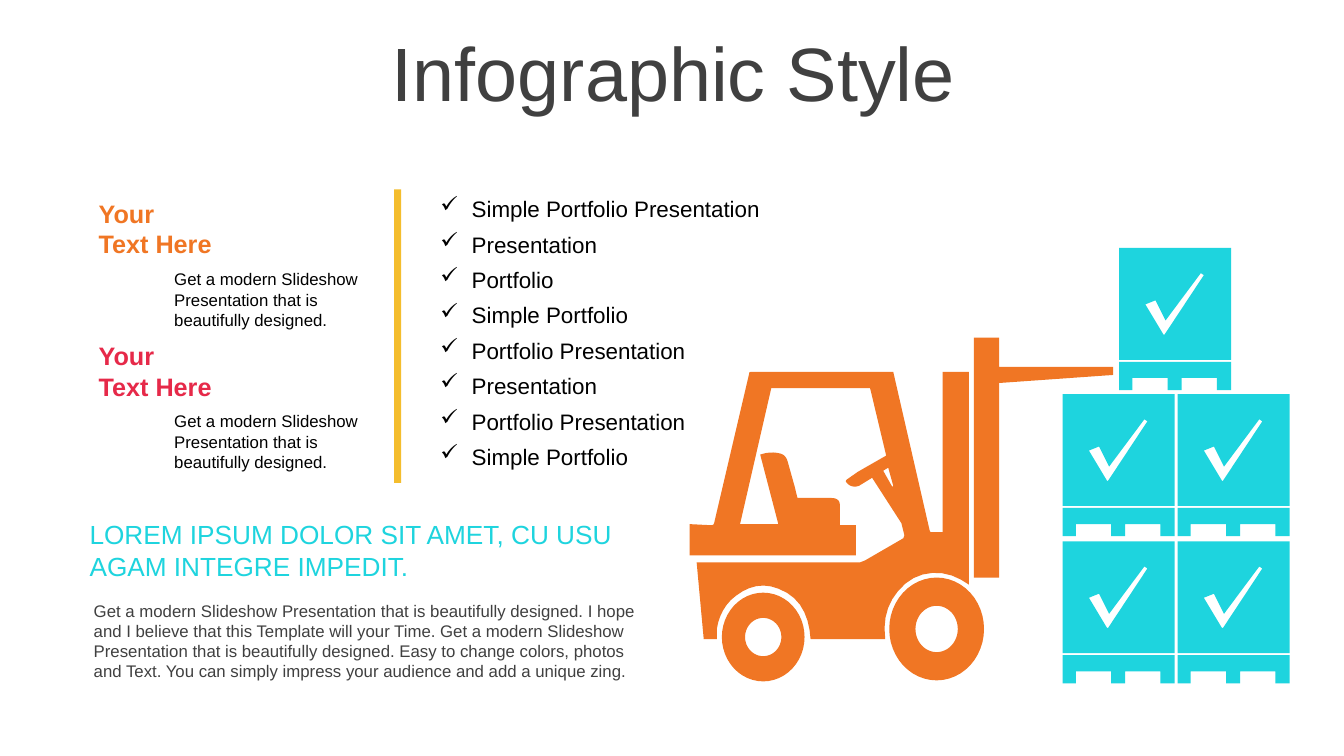
from dataclasses import dataclass, field
from math import cos, pi, sin

from lxml import etree
from pptx import Presentation
from pptx.dml.color import RGBColor
from pptx.enum.shapes import MSO_SHAPE
from pptx.enum.text import MSO_ANCHOR, MSO_AUTO_SIZE, PP_ALIGN
from pptx.oxml.ns import qn
from pptx.util import Inches, Pt

RECTANGLE = MSO_SHAPE.RECTANGLE
TOP, MIDDLE = MSO_ANCHOR.TOP, MSO_ANCHOR.MIDDLE
FIXED, GROW = MSO_AUTO_SIZE.NONE, MSO_AUTO_SIZE.SHAPE_TO_FIT_TEXT
LEFT, CENTER = PP_ALIGN.LEFT, PP_ALIGN.CENTER

COLORS = {"orange": "F07624", "cyan": "1ED4DE", "red": "E62949",
          "yellow": "F4BD2D", "gray": "404040", "black": "000000"}
FONT = "Arial"
Point = tuple[float, float]


@dataclass
class TextBlock:
    lines: list[str]
    at: tuple[float, float, float, float]
    size: float
    color: str
    bold: bool = False
    bullet: str = ""
    paragraph: dict = field(default_factory=dict)
    frame: dict = field(default_factory=dict)


@dataclass
class Section:
    top: float
    color: str


def rgb(name: str) -> RGBColor:
    return RGBColor.from_string(COLORS[name])


def apply(target, values: dict) -> None:
    for name, value in values.items():
        setattr(target, name, value)


def paint(shape, color: str) -> None:
    shape.shadow.inherit = False
    shape.fill.solid()
    shape.fill.fore_color.rgb = rgb(color)
    shape.line.fill.background()


def add_text(page, block: TextBlock):
    box = page.shapes.add_textbox(*map(Inches, block.at))
    frame = box.text_frame
    apply(frame, {"word_wrap": True, "auto_size": GROW, "vertical_anchor": TOP} | block.frame)
    for index, line in enumerate(block.lines):
        para = frame.paragraphs[0] if index == 0 else frame.add_paragraph()
        if block.bullet:
            properties = para._p.get_or_add_pPr()
            properties.set("marL", str(Inches(0.31)))
            properties.set("indent", str(Inches(-0.31)))
            etree.SubElement(properties, qn("a:buChar")).set("char", block.bullet)
        apply(para, {"alignment": LEFT} | block.paragraph)
        span = para.add_run()
        span.text = line
        apply(span.font, {"name": FONT, "size": Pt(block.size), "bold": block.bold})
        span.font.color.rgb = rgb(block.color)
    return box


def flatten(outline: list[tuple], steps: int = 6) -> list[Point]:
    """Two numbers are a corner; six are the controls and end of a curve."""
    points: list[Point] = []
    for item in outline:
        if len(item) == 2:
            points.append(item)
            continue
        knots = [points[-1], item[:2], item[2:4], item[4:]]
        for step in range(1, steps + 1):
            t = step / steps
            weights = ((1 - t) ** 3, 3 * t * (1 - t) ** 2, 3 * t * t * (1 - t), t ** 3)
            points.append(tuple(sum(w * knot[axis] for w, knot in zip(weights, knots))
                                for axis in (0, 1)))
    return points


def ellipse(x: float, y: float, radius_x: float, radius_y: float) -> list[Point]:
    angles = [2 * pi * step / 48 for step in range(48)]
    return [(x + radius_x * cos(angle), y + radius_y * sin(angle)) for angle in angles]


def add_outlines(page, outlines: list[list[tuple]], color: str, left: float = 0, top: float = 0):
    builder = None
    for outline in outlines:
        start, *rest = [(Inches(left + x), Inches(top + y)) for x, y in flatten(outline)]
        if builder is None:
            builder = page.shapes.build_freeform(*start, scale=1.0)
        else:
            builder.move_to(*start)
        builder.add_line_segments(rest, close=True)
    shape = builder.convert_to_shape()
    paint(shape, color)
    return shape


# Forklift outlines, in slide inches
TRUCK_BODY = [
    (7.45, 3.69), (8.86, 3.69), (9.22, 5.26), (9.23, 5.28), (9.35, 5.28), (9.35, 3.69),
    (9.61, 3.69), (9.61, 5.8), (9.53, 5.75),
    (9.36, 5.65, 9.13, 5.66, 8.98, 5.79), (8.82, 5.93, 8.75, 6.11, 8.78, 6.34),
    (8.04, 6.34), (8.03, 6.25),
    (8, 6.06, 7.91, 5.91, 7.72, 5.84), (7.57, 5.78, 7.43, 5.81, 7.3, 5.91),
    (7.19, 5.99, 7.13, 6.11, 7.11, 6.24), (7.11, 6.34), (6.98, 6.34), (6.91, 5.58),
    (8.53, 5.58), (8.58, 5.56), (8.96, 5.34), (8.97, 5.31), (8.94, 5.19), (8.65, 4.74),
    (8.52, 4.82), (8.47, 4.84, 8.42, 4.82, 8.4, 4.79), (8.38, 4.78, 8.39, 4.76, 8.41, 4.75),
    (8.51, 4.68), (8.79, 4.52), (8.63, 3.85), (7.65, 3.85), (7.34, 5.2), (7.72, 5.2),
    (7.54, 4.51), (7.6, 4.49, 7.67, 4.48, 7.74, 4.5), (7.78, 4.51, 7.8, 4.54, 7.81, 4.57),
    (7.88, 4.82), (7.91, 4.94), (8.24, 4.94), (8.31, 4.94, 8.33, 4.97, 8.33, 5.01),
    (8.33, 5.21), (8.49, 5.21), (8.49, 5.51), (6.84, 5.51), (6.84, 5.2), (7.04, 5.21),
    (7.08, 5.21, 7.08, 5.21, 7.09, 5.16), (7.43, 3.71), (7.43, 3.7, 7.43, 3.69, 7.45, 3.69)]
STEERING_GAP = [(8.81, 4.64), (8.76, 4.67), (8.85, 4.83), (8.86, 4.82)]
MAST_AND_FORK = [(9.66, 3.35), (9.91, 3.35), (9.91, 3.64), (11.04, 3.64), (11.04, 3.72),
                 (9.91, 3.8), (9.91, 5.73), (9.66, 5.73)]
WHEELS = [ellipse(7.57, 6.32, 0.41, 0.44), ellipse(7.57, 6.32, 0.18, 0.19),
          ellipse(9.29, 6.24, 0.47, 0.51), ellipse(9.29, 6.24, 0.21, 0.23)]

# Crate outlines, measured from the crate's top left corner
CRATE = [
    [(0, 1.13), (1.11, 1.13), (1.11, 1.41), (0.97, 1.41), (0.97, 1.29), (0.62, 1.29),
     (0.62, 1.41), (0.48, 1.41), (0.48, 1.29), (0.13, 1.29), (0.13, 1.41), (0, 1.41)],
    [(0.81, 0.25), (0.46, 0.72), (0.36, 0.52), (0.26, 0.56), (0.44, 0.86), (0.45, 0.86),
     (0.84, 0.27)],
    [(0, 0), (1.11, 0), (1.11, 1.11), (0, 1.11)]]
CRATE_PLACES = [(11.1, 2.46)] + [(left, top) for top in (3.91, 5.37) for left in (10.54, 11.68)]

SECTIONS = [Section(1.92, "orange"), Section(3.33, "red")]
SECTION_TEXT = "Get a modern Slideshow Presentation that is beautifully designed."
CHECKLIST = ["Simple Portfolio Presentation", "Presentation", "Portfolio", "Simple Portfolio",
             "Portfolio Presentation", "Presentation", "Portfolio Presentation",
             "Simple Portfolio"]
TITLE = TextBlock(["Infographic Style"], (0.35, 0.37, 12.66, 0.79), 54, "gray",
                  paragraph={"alignment": CENTER, "line_spacing": 0.9},
                  frame={"vertical_anchor": MIDDLE, "auto_size": FIXED})
HEADLINE = TextBlock(["LOREM IPSUM DOLOR SIT AMET, CU USU AGAM INTEGRE IMPEDIT."],
                     (0.79, 5.09, 5.66, 0.73), 18.7, "cyan", frame={"vertical_anchor": MIDDLE})
SUMMARY = TextBlock(
    ["Get a modern Slideshow Presentation that is beautifully designed. I hope and I believe "
     "that this Template will your Time. Get a modern Slideshow Presentation that is "
     "beautifully designed. Easy to change colors, photos and Text. You can simply impress "
     "your audience and add a unique zing."],
    (0.93, 5.91, 5.66, 0.95), 12, "gray", frame={"margin_left": 0, "auto_size": FIXED})


def main() -> None:
    deck = Presentation()
    deck.slide_width, deck.slide_height = Inches(13.33), Inches(7.5)
    page = deck.slides.add_slide(deck.slide_layouts[6])
    add_text(page, TITLE)

    # Forklift and crates
    add_outlines(page, [*WHEELS, STEERING_GAP, TRUCK_BODY, MAST_AND_FORK], "orange")
    page.shapes.add_group_shape([add_outlines(page, CRATE, "cyan", left, top)
                                 for left, top in CRATE_PLACES])

    # Two sections on the left
    section_boxes = []
    for section in SECTIONS:
        heading = TextBlock(["Your", "Text Here"], (0.88, section.top, 1.49, 0.71), 18,
                            section.color, bold=True)
        detail = TextBlock([SECTION_TEXT], (1.63, section.top + 0.7, 2.17, 0.71), 12, "black")
        section_boxes += [add_text(page, heading), add_text(page, detail)]
    page.shapes.add_group_shape(section_boxes)

    # Divider and checklist
    divider = page.shapes.add_shape(RECTANGLE, *map(Inches, (3.91, 1.88, 0.07, 2.91)))
    paint(divider, "yellow")
    page.shapes.add_group_shape([
        add_text(page, TextBlock([entry], (4.27, 1.94 + 2.46 / 7 * row, 3.59, 0.32), 16, "black",
                                 bullet="✓", paragraph={"line_spacing": 0.8}))
        for row, entry in enumerate(CHECKLIST)])

    # Closing text
    add_text(page, HEADLINE)
    add_text(page, SUMMARY)
    deck.save("out.pptx")


if __name__ == "__main__":
    main()
